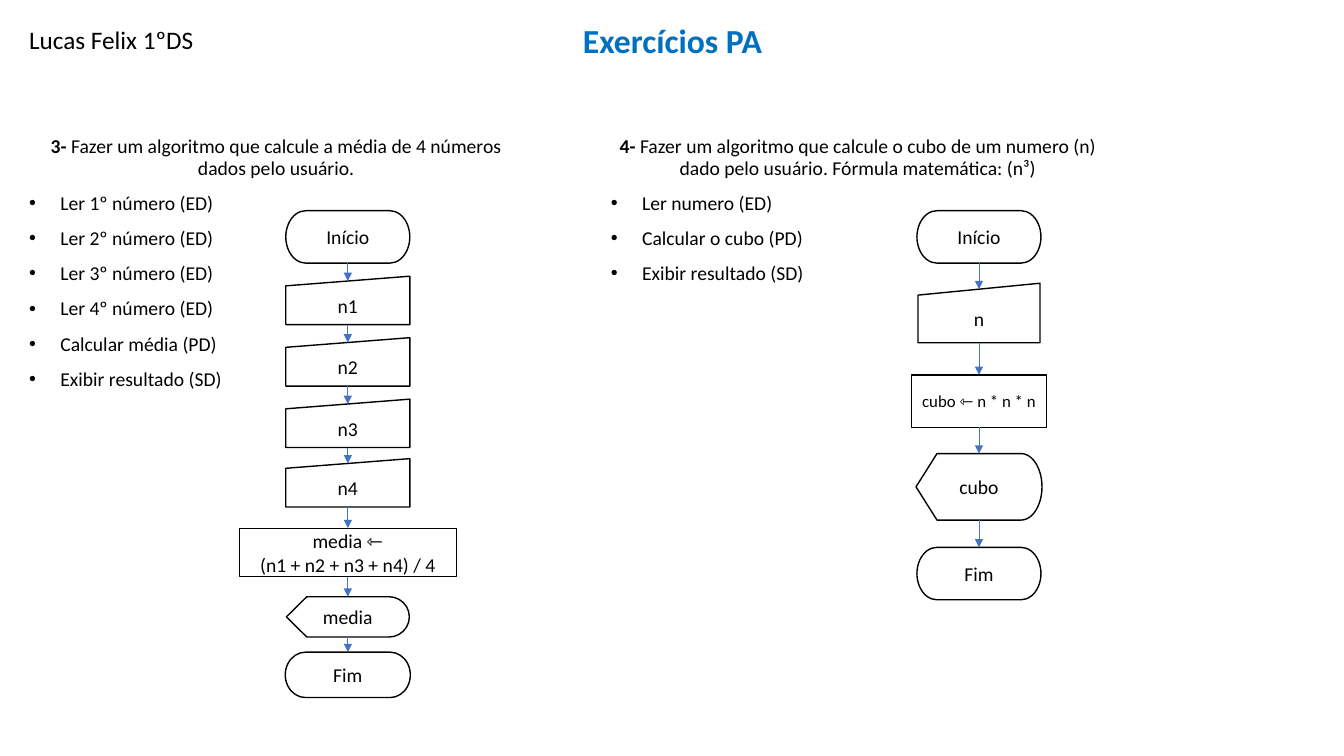
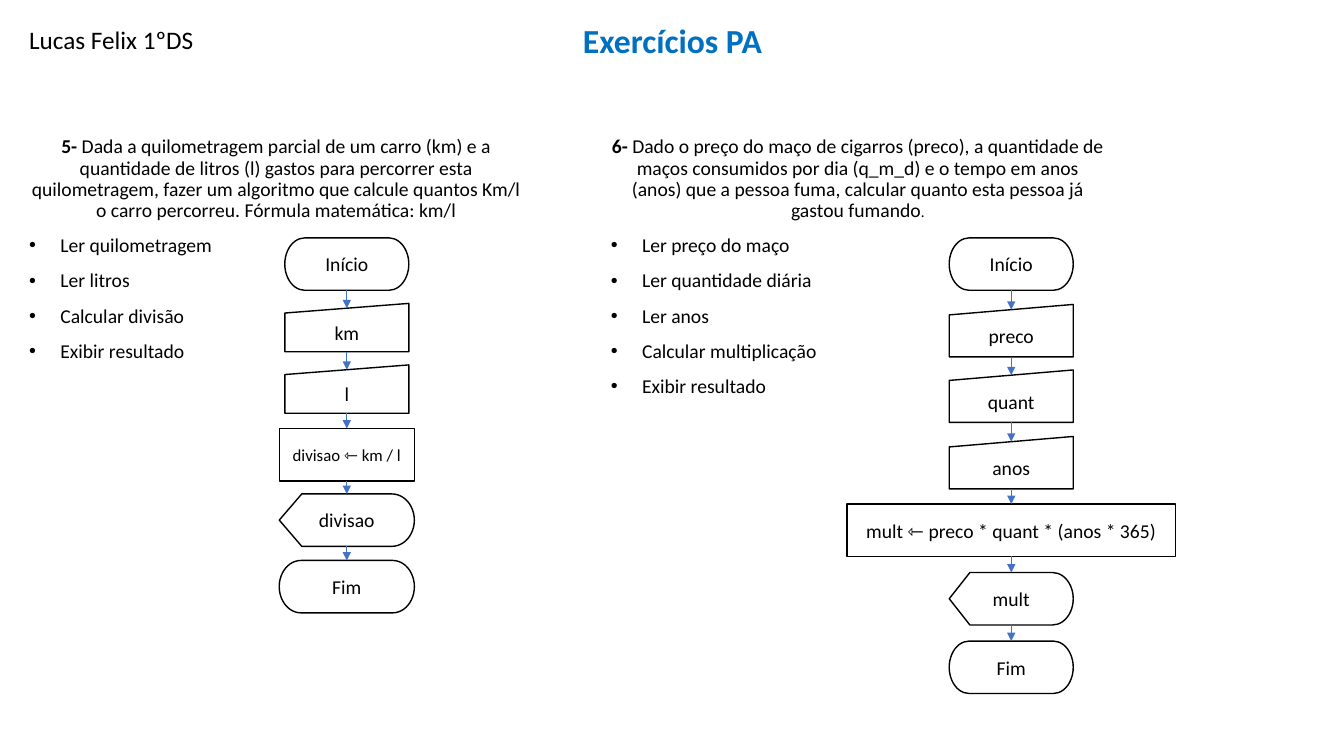
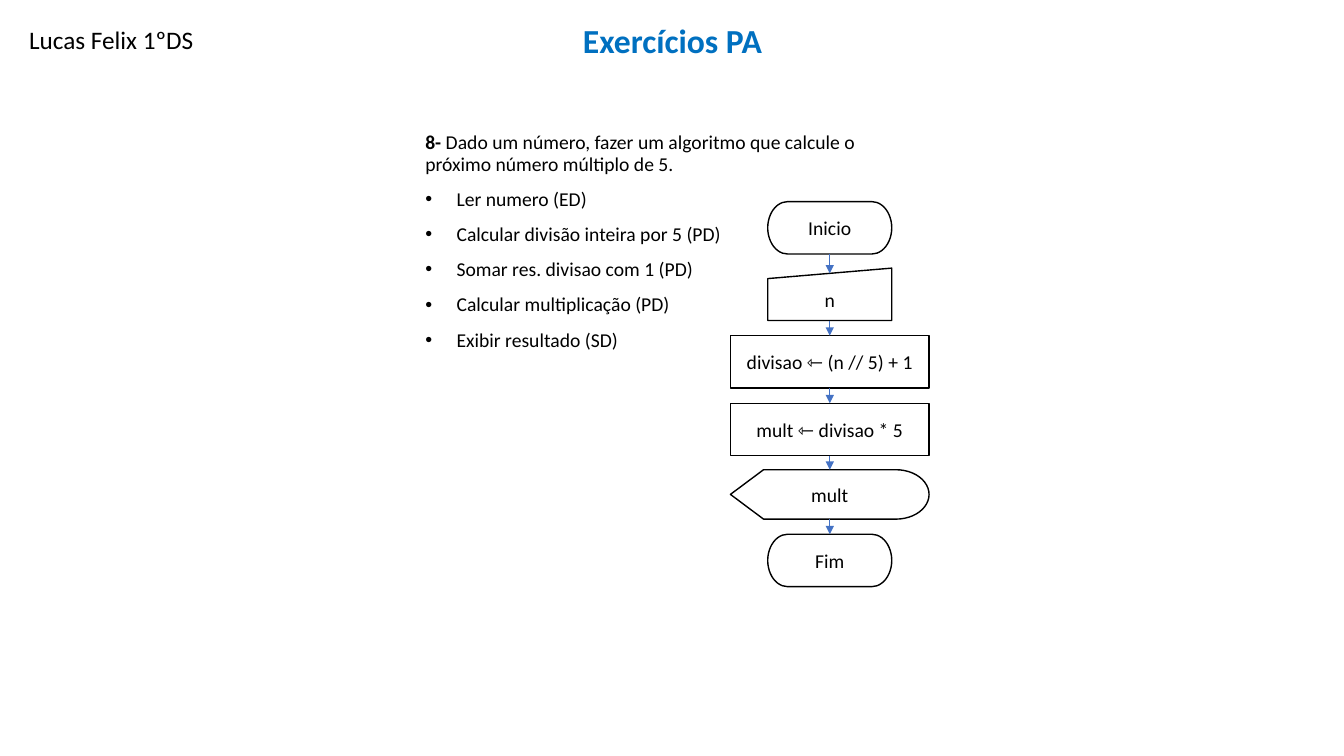
from lxml import etree
from pptx import Presentation
from pptx.dml.color import RGBColor
from pptx.enum.shapes import MSO_CONNECTOR, MSO_SHAPE as Shape
from pptx.enum.text import MSO_ANCHOR as Anchor, PP_ALIGN as Align
from pptx.oxml.ns import qn
from pptx.util import Inches, Pt

# Shared style
FONT = "Calibri"
BLACK = RGBColor(0x00, 0x00, 0x00)
WHITE = RGBColor(0xFF, 0xFF, 0xFF)
TITLE_BLUE = RGBColor(0x00, 0x70, 0xC0)
ARROW_BLUE = RGBColor(0x44, 0x72, 0xC4)
BODY_SIZE = 14
STEP_WIDTH, STEP_HEIGHT = 1.23, 0.52
TITLE, AUTHOR = "Exercícios PA", "Lucas Felix 1ºDS"

TERMINAL = Shape.FLOWCHART_TERMINATOR
INPUT = Shape.FLOWCHART_MANUAL_INPUT
PROCESS = Shape.FLOWCHART_PROCESS
DISPLAY = Shape.FLOWCHART_DISPLAY

# Content: each slide is a list of exercises. A flow step is
# (kind, text, top, then optionally width, height, text size).
SLIDES = [
    [
        {
            "at": (0.19, 1.31), "align": Align.CENTER, "number": "3- ",
            "question": [("Fazer um algoritmo que calcule a média de 4 números "
                          "dados pelo usuário.", BODY_SIZE)],
            "bullets": ["Ler 1º número (ED)", "Ler 2º número (ED)", "Ler 3º número (ED)",
                        "Ler 4º número (ED)", "Calcular média (PD)", "Exibir resultado (SD)"],
            "center": 3.45,
            "flow": [
                (TERMINAL, "Início", 2.09),
                (INPUT, "n1", 2.74, 1.23, 0.48),
                (INPUT, "n2", 3.35, 1.23, 0.48),
                (INPUT, "n3", 3.96, 1.23, 0.48),
                (INPUT, "n4", 4.55, 1.23, 0.48),
                (PROCESS, "media ⇽\n(n1 + n2 + n3 + n4) / 4", 5.24, 2.15, 0.48),
                (DISPLAY, "media", 5.92, 1.22, 0.4),
                (TERMINAL, "Fim", 6.47, 1.24, 0.45),
            ],
        },
        {
            "at": (5.96, 1.31), "align": Align.CENTER, "number": "4- ",
            "question": [("Fazer um algoritmo que calcule o cubo de um numero (n) dado "
                          "pelo usuário. Fórmula matemática: (n³)", BODY_SIZE)],
            "bullets": ["Ler numero (ED)", "Calcular o cubo (PD)", "Exibir resultado (SD)"],
            "center": 9.71,
            "flow": [
                (TERMINAL, "Início", 2.09),
                (INPUT, "n", 2.81, 1.21, 0.59),
                (PROCESS, "cubo ⇽ n * n * n", 3.72, 1.34, 0.52, 12),
                (DISPLAY, "cubo", 4.5, 1.25, 0.66),
                (TERMINAL, "Fim", 5.43),
            ],
        },
    ],
    [
        {
            "at": (0.19, 1.31), "align": Align.CENTER, "number": "5- ",
            "question": [("Dada a quilometragem parcial de um carro (km) e a quantidade de "
                          "litros (l) gastos para percorrer esta quilometragem, fazer um "
                          "algoritmo que calcule quantos Km/l o carro percorreu. "
                          "Fórmula matemática: km/l", BODY_SIZE)],
            "bullets": ["Ler quilometragem", "Ler litros", "Calcular divisão",
                        "Exibir resultado"],
            "center": 3.44,
            "flow": [
                (TERMINAL, "Início", 2.36),
                (INPUT, "km", 3.01, 1.23, 0.48),
                (INPUT, "l", 3.62, 1.23, 0.48),
                (PROCESS, "divisao ⇽ km / l", 4.25, 1.34, 0.52, 12),
                (DISPLAY, "divisao", 4.9, 1.34),
                (TERMINAL, "Fim", 5.56, 1.34),
            ],
        },
        {
            "at": (5.96, 1.31), "align": Align.CENTER, "number": "6- ",
            "question": [("Dado o preço do maço de cigarros (preco), a quantidade de maços "
                          "consumidos por dia (q_m_d) e o tempo em anos (anos) que a pessoa "
                          "fuma, calcular quanto esta pessoa já gastou fumando", BODY_SIZE),
                         (".", 11)],
            "bullets": ["Ler preço do maço", "Ler quantidade diária", "Ler anos",
                        "Calcular multiplicação", "Exibir resultado"],
            "center": 10.03,
            "flow": [
                (TERMINAL, "Início", 2.36),
                (INPUT, "preco", 3.02),
                (INPUT, "quant", 3.67),
                (INPUT, "anos", 4.33),
                (PROCESS, "mult ⇽ preco * quant * (anos * 365)", 5, 3.26),
                (DISPLAY, "mult", 5.68),
                (TERMINAL, "Fim", 6.36),
            ],
        },
    ],
    [
        {
            "at": (4.12, 1.27), "align": Align.LEFT, "number": "8- ",
            "question": [("Dado um número, fazer um algoritmo que calcule o próximo número "
                          "múltiplo de 5.", BODY_SIZE)],
            "bullets": ["Ler numero (ED)", "Calcular divisão inteira por 5 (PD)",
                        "Somar res. divisao com 1 (PD)", "Calcular multiplicação (PD)",
                        "Exibir resultado (SD)"],
            "center": 8.23,
            "flow": [
                (TERMINAL, "Inicio", 2),
                (INPUT, "n", 2.66),
                (PROCESS, "divisao ⇽ (n // 5) + 1", 3.33, 1.97),
                (PROCESS, "mult ⇽ divisao * 5", 4, 1.97),
                (DISPLAY, "mult", 4.66, 1.97, 0.49),
                (TERMINAL, "Fim", 5.3),
            ],
        },
    ],
]


def add_span(para, text, size, color=BLACK, bold=False):
    span = para.add_run()
    span.text = text
    font = span.font
    font.name, font.size, font.bold = FONT, Pt(size), bold
    font.color.rgb = color


def add_text_box(slide, left, top, width, height, anchor=Anchor.TOP):
    box = slide.shapes.add_textbox(Inches(left), Inches(top), Inches(width), Inches(height))
    frame = box.text_frame
    frame.word_wrap = True
    frame.vertical_anchor = anchor
    return frame


def add_header(slide):
    title = add_text_box(slide, 1.67, 0.15, 10, 0.5, Anchor.BOTTOM).paragraphs[0]
    title.alignment = Align.CENTER
    title.line_spacing = 0.9
    add_span(title, TITLE, 24, TITLE_BLUE, True)
    author = add_text_box(slide, 0.19, 0.19, 2.2, 0.4).paragraphs[0]
    add_span(author, AUTHOR, 18)


def add_bullet(para):
    props = para._p.get_or_add_pPr()
    props.set("marL", str(Inches(0.31)))
    props.set("indent", str(-Inches(0.31)))
    etree.SubElement(props, qn("a:buFont")).set("typeface", "Arial")
    etree.SubElement(props, qn("a:buChar")).set("char", "•")


def add_statement(slide, exercise):
    frame = add_text_box(slide, *exercise["at"], 5.1, 5.97)
    question = frame.paragraphs[0]
    question.alignment = exercise["align"]
    add_span(question, exercise["number"], BODY_SIZE, bold=True)
    for text, size in exercise["question"]:
        add_span(question, text, size)
    for text in exercise["bullets"]:
        add_span(frame.add_paragraph(), text, BODY_SIZE)
    for para in frame.paragraphs:
        para.line_spacing = 0.9
        para.space_before = Pt(10)
    for para in frame.paragraphs[1:]:
        add_bullet(para)


def add_step(slide, center, kind, text, top, width=STEP_WIDTH, height=STEP_HEIGHT,
             size=BODY_SIZE):
    step = slide.shapes.add_shape(kind, Inches(center - width / 2), Inches(top),
                                  Inches(width), Inches(height))
    step.shadow.inherit = False
    step.fill.solid()
    step.fill.fore_color.rgb = WHITE
    step.line.color.rgb = BLACK
    step.line.width = Pt(1)
    frame = step.text_frame
    frame.vertical_anchor = Anchor.MIDDLE
    for index, line in enumerate(text.split("\n")):
        para = frame.add_paragraph() if index else frame.paragraphs[0]
        para.alignment = Align.CENTER
        add_span(para, line, size)
    return step


def add_arrow(slide, upper, lower):
    arrow = slide.shapes.add_connector(MSO_CONNECTOR.STRAIGHT, 0, 0, 0, 0)
    arrow.begin_connect(upper, 2)
    arrow.end_connect(lower, 0)
    # The slanted top of an input step is a tenth lower at its middle
    if lower.auto_shape_type == INPUT:
        arrow.end_y = lower.top + lower.height // 10
    arrow.line.color.rgb = ARROW_BLUE
    arrow.line.width = Pt(0.5)
    etree.SubElement(arrow.line._get_or_add_ln(), qn("a:tailEnd")).set("type", "triangle")
    etree.SubElement(arrow._element.spPr, qn("a:effectLst"))


def add_flow(slide, exercise):
    steps = [add_step(slide, exercise["center"], *step) for step in exercise["flow"]]
    for upper, lower in zip(steps, steps[1:]):
        add_arrow(slide, upper, lower)


def main():
    deck = Presentation()
    deck.slide_width, deck.slide_height = Inches(13.33), Inches(7.5)
    for exercises in SLIDES:
        slide = deck.slides.add_slide(deck.slide_layouts[6])
        add_header(slide)
        for exercise in exercises:
            add_statement(slide, exercise)
            add_flow(slide, exercise)
    deck.save("out.pptx")


if __name__ == "__main__":
    main()
